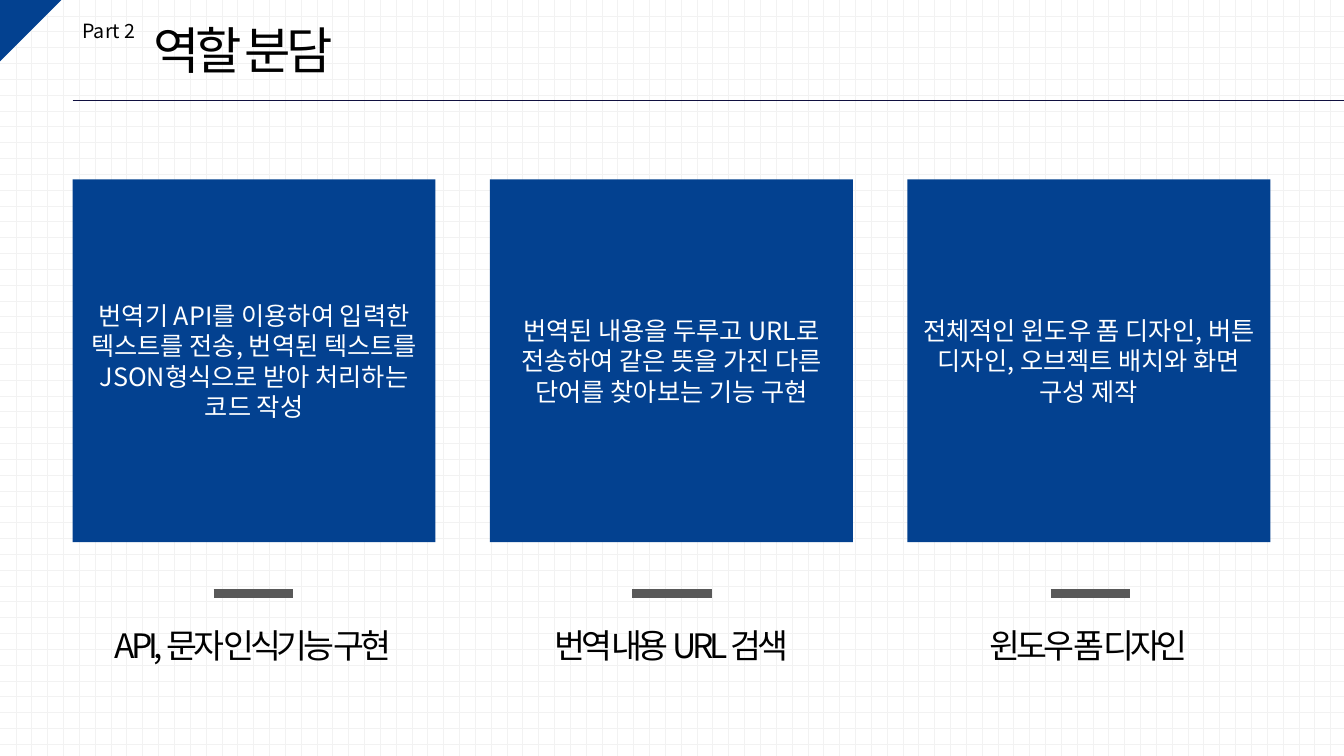
from lxml.etree import SubElement
from pptx import Presentation
from pptx.dml.color import RGBColor
from pptx.enum.dml import MSO_PATTERN
from pptx.enum.shapes import MSO_CONNECTOR, MSO_SHAPE
from pptx.enum.text import MSO_ANCHOR, PP_ALIGN
from pptx.oxml.ns import qn
from pptx.util import Inches, Pt

BLUE = RGBColor(0x03, 0x41, 0x90)
NAVY = RGBColor(0x10, 0x10, 0x40)
GRAY = RGBColor(0x59, 0x59, 0x59)
PALE = RGBColor(0xF2, 0xF2, 0xF2)
BLACK = RGBColor(0, 0, 0)
WHITE = RGBColor(0xFF, 0xFF, 0xFF)
FONT = "Noto Sans CJK KR"


def write(shape, text, size, color, align, anchor=MSO_ANCHOR.TOP, wrap=True, gap=0):
    frame = shape.text_frame
    frame.word_wrap = wrap
    frame.vertical_anchor = anchor
    para = frame.paragraphs[0]
    para.alignment = align
    run = para.add_run()
    run.text = text
    run.font.size = Pt(size)
    run.font.name = FONT
    run.font.color.rgb = color
    # East Asian typeface and letter spacing
    props = run.font._element
    SubElement(props, qn("a:ea"), typeface=FONT)
    if gap:
        props.set("spc", str(gap * 100))


def rule(left, right, top, color, width):
    line = slide.shapes.add_connector(
        MSO_CONNECTOR.STRAIGHT, Inches(left), Inches(top), Inches(right), Inches(top))
    line.line.color.rgb = color
    line.line.width = Pt(width)
    SubElement(line._element.spPr, qn("a:effectLst"))


deck = Presentation()
deck.slide_width = Inches(13.33)
deck.slide_height = Inches(7.5)
slide = deck.slides.add_slide(deck.slide_layouts[5])

# Dotted grid background
back = slide.background.fill
back.patterned()
back.pattern = MSO_PATTERN.DOTTED_GRID
back.fore_color.rgb = PALE
back.back_color.rgb = WHITE

# Corner triangle
corner = slide.shapes.add_shape(
    MSO_SHAPE.RIGHT_TRIANGLE, 0, 0, Inches(0.61), Inches(0.61))
corner.rotation = 90
corner.shadow.inherit = False
corner.fill.solid()
corner.fill.fore_color.rgb = BLUE
corner.line.fill.background()

# Header
part = slide.shapes.add_textbox(Inches(0.72), Inches(0.14), Inches(0.74), Inches(0.34))
write(part, "Part 2", 14, BLACK, PP_ALIGN.LEFT, wrap=False)
title = slide.shapes.title
title.left, title.top = Inches(1.42), Inches(0.14)
title.width, title.height = Inches(2.18), Inches(0.71)
write(title, "역할 분담", 36, BLACK, PP_ALIGN.LEFT, wrap=False, gap=-3)
rule(0.72, 13.33, 1, NAVY, 0.5)

# Role columns: card text, caption, caption centre and width
roles = [
    ("번역기 API를 이용하여 입력한 텍스트를 전송, 번역된 텍스트를 JSON형식으로 받아 처리하는 코드 작성",
     "API, 문자 인식기능 구현", 2.51, 3.23),
    ("번역된 내용을 두루고 URL로 전송하여 같은 뜻을 가진 다른 단어를 찾아보는 기능 구현",
     "번역 내용 URL 검색", 6.66, 2.6),
    ("전체적인 윈도우 폼 디자인, 버튼 디자인, 오브젝트 배치와 화면 구성 제작",
     "윈도우 폼 디자인", 10.8, 2.47),
]
for i, (task, name, mid, wide) in enumerate(roles):
    card = slide.shapes.add_shape(
        MSO_SHAPE.RECTANGLE, Inches(0.72 + 4.14 * i), Inches(1.78), Inches(3.6), Inches(3.6))
    card.shadow.inherit = False
    card.fill.solid()
    card.fill.fore_color.rgb = BLUE
    card.line.fill.background()
    write(card, task, 18, WHITE, PP_ALIGN.CENTER, MSO_ANCHOR.MIDDLE)

    start = 2.12 + 4.15 * i
    rule(start, start + 0.79, 5.89, GRAY, 6)

    label = slide.shapes.add_textbox(
        Inches(mid - wide / 2), Inches(6.15), Inches(wide), Inches(0.5))
    write(label, name, 24, BLACK, PP_ALIGN.CENTER, gap=-3)

deck.save("out.pptx")
